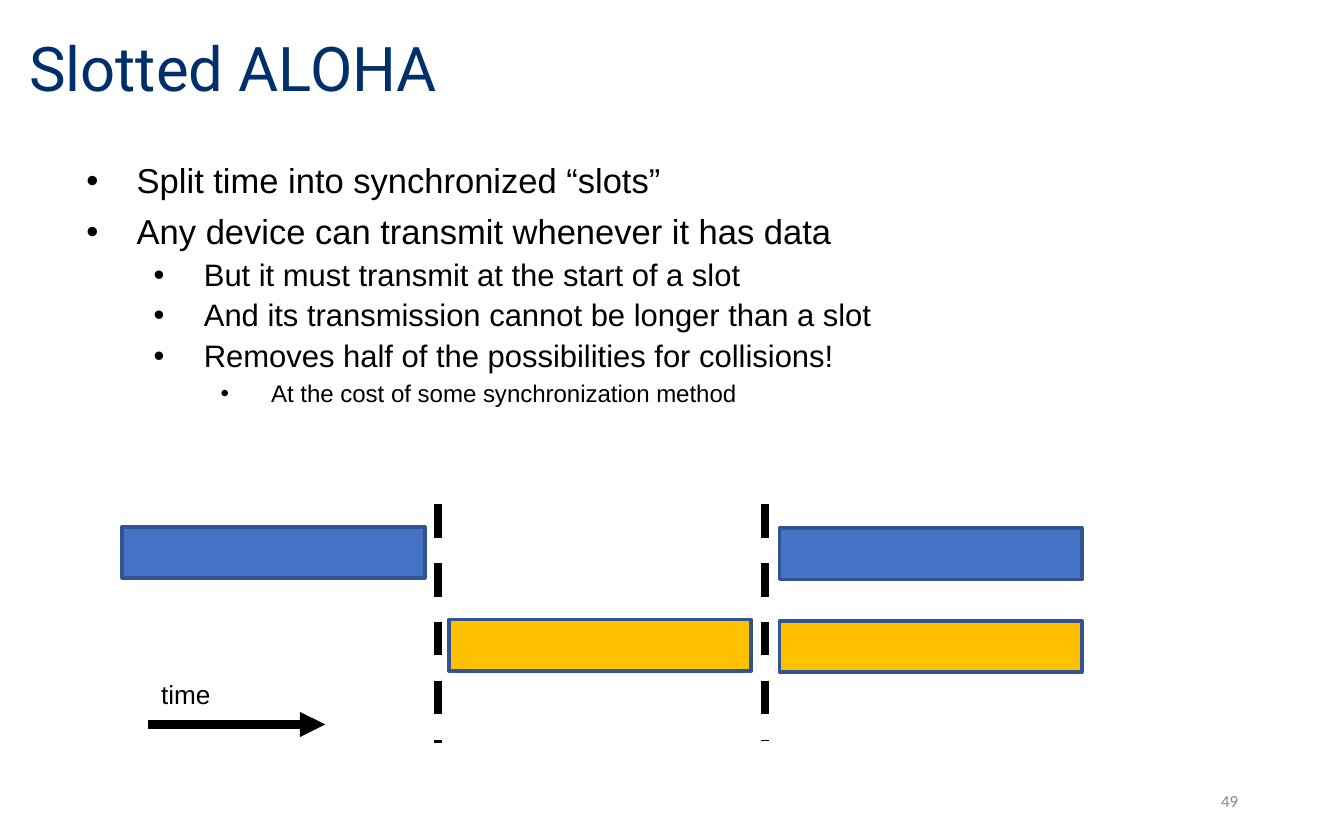
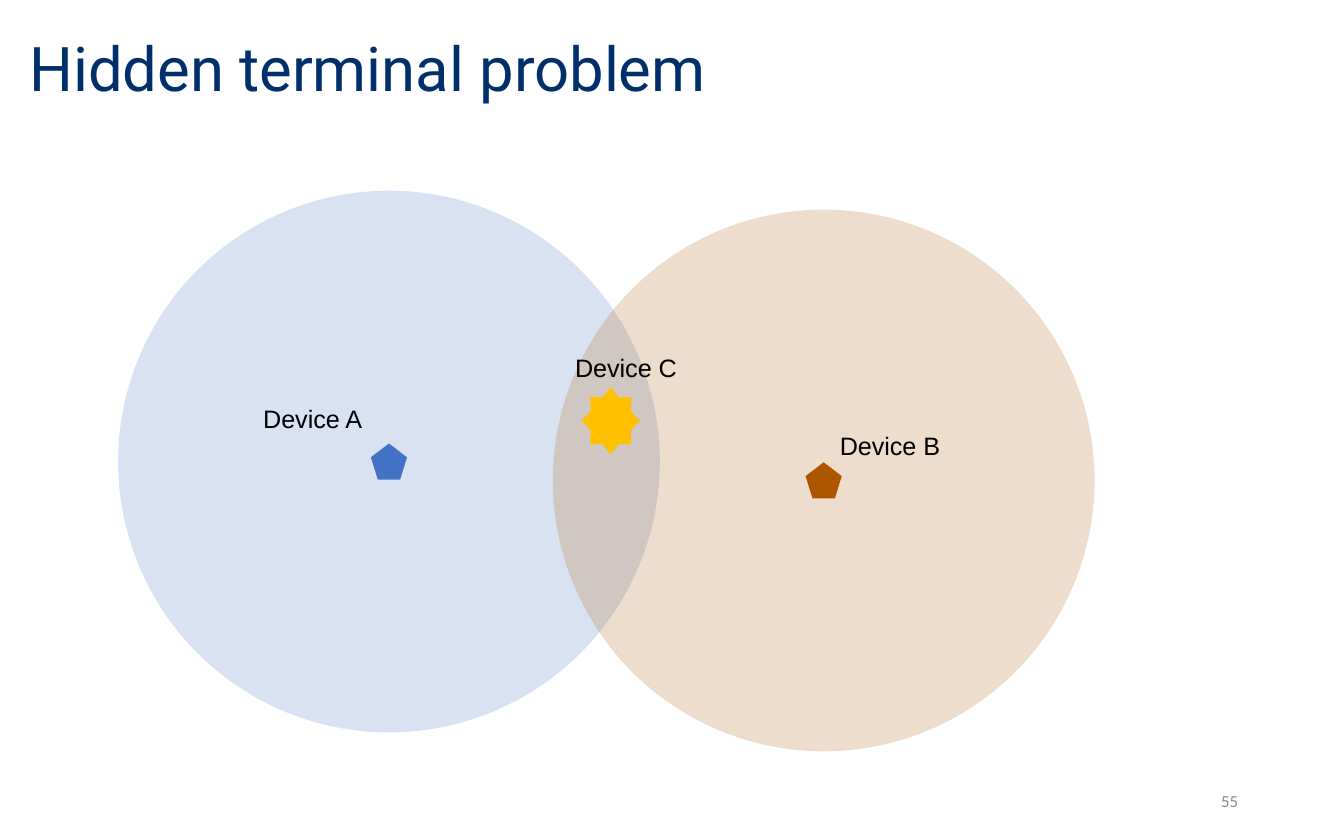
from dataclasses import dataclass

from lxml.etree import SubElement
from pptx import Presentation
from pptx.dml.color import RGBColor
from pptx.enum.dml import MSO_LINE
from pptx.enum.shapes import MSO_CONNECTOR, MSO_SHAPE as SHAPE
from pptx.enum.text import MSO_ANCHOR as ANCHOR, PP_ALIGN as ALIGN
from pptx.oxml.ns import qn
from pptx.util import Pt

# Content: slotted ALOHA
ALOHA = {"title": "Slotted ALOHA", "number": "49"}
POINTS = [
    (0, "Split time into synchronized “slots”"),
    (0, "Any device can transmit whenever it has data"),
    (1, "But it must transmit at the start of a slot"),
    (1, "And its transmission cannot be longer than a slot"),
    (1, "Removes half of the possibilities for collisions!"),
    (2, "At the cost of some synchronization method"),
]
TRANSMISSIONS = [  # sender, left, top
    ("blue", 65.5, 282.2),
    ("yellow", 240.5, 331.9),
    ("yellow", 417.6, 332.6),
    ("blue", 417.6, 283),
]
SLOT_EDGES = [(234.7, 398.2), (409.7, 396.7)]  # x, bottom
TIME_LABEL = "time"

# Content: hidden terminal problem
HIDDEN = {"title": "Hidden terminal problem", "number": "55"}
SENDERS = [("blue", 208.4, 247.3), ("brown", 441.3, 257.4)]  # colour, centre
RECEIVER = ("yellow", 327.2, 225.4)
DEVICE_LABELS = [
    ("Device A", 133.9, 212.4),
    ("Device B", 442.8, 226.8),
    ("Device C", 301, 185),
]


@dataclass(frozen=True)
class Theme:
    navy: str = "002F6C"
    black: str = "000000"
    grey: str = "888888"
    blue: str = "4472C4"
    yellow: str = "FFC000"
    brown: str = "AC5600"
    outline: str = "325491"
    heading: str = "Roboto"
    body: str = "Arial"
    footer: str = "Calibri"
    title_size: float = 33
    level_sizes: tuple = (18.5, 16.6, 12.9)
    level_gaps: tuple = (7.5, 3.8, 3.8)
    time_size: float = 14
    label_size: float = 13.5
    number_size: float = 9
    frame_line: float = 2
    heavy_line: float = 4.5


THEME = Theme()


def rgb(colour):
    return RGBColor.from_string(colour)


def add_bullet(paragraph, level):
    props = paragraph._p.get_or_add_pPr()
    props.set("marL", str(Pt(36 * (level + 1))))
    props.set("indent", str(-Pt(27)))
    SubElement(SubElement(props, qn("a:buClr")), qn("a:srgbClr"), val=THEME.black)
    SubElement(props, qn("a:buFont"), typeface=THEME.body)
    SubElement(props, qn("a:buChar"), char="•")


def add_text(slide, text, box, size=None, font=THEME.body, colour=THEME.black,
             align=ALIGN.LEFT, anchor=ANCHOR.TOP, spacing=None):
    """Takes a string, or a list of (level, string) for bullets."""
    frame = slide.shapes.add_textbox(*map(Pt, box)).text_frame
    frame.word_wrap = True
    frame.vertical_anchor = anchor
    bulleted = not isinstance(text, str)
    for i, (level, line) in enumerate(text if bulleted else [(0, text)]):
        paragraph = frame.add_paragraph() if i else frame.paragraphs[0]
        if bulleted:
            paragraph.level = level
            add_bullet(paragraph, level)
            paragraph.space_before = Pt(THEME.level_gaps[level] if i else 0)
        paragraph.alignment = align
        if spacing:
            paragraph.line_spacing = spacing
        run = paragraph.add_run()
        run.text = line
        run.font.name = font
        run.font.size = Pt(size or THEME.level_sizes[level])
        run.font.color.rgb = rgb(colour)


def add_figure(slide, kind, box, fill, outline=None, opacity=None):
    figure = slide.shapes.add_shape(kind, *map(Pt, box))
    figure.shadow.inherit = False
    figure.fill.solid()
    figure.fill.fore_color.rgb = rgb(fill)
    if opacity:
        colour = figure.element.spPr.find(qn("a:solidFill")).find(qn("a:srgbClr"))
        SubElement(colour, qn("a:alpha"), val=str(opacity * 1000))
    if outline:
        figure.line.color.rgb = rgb(outline)
        figure.line.width = Pt(THEME.frame_line)
    else:
        figure.line.fill.background()


def add_centred(slide, kind, x, y, width, height, fill, **look):
    add_figure(slide, kind, (x - width / 2, y - height / 2, width, height), fill, **look)


def add_line(slide, start, end, dashed=False, arrow=False):
    link = slide.shapes.add_connector(MSO_CONNECTOR.STRAIGHT, *map(Pt, start + end))
    link.line.color.rgb = rgb(THEME.black)
    link.line.width = Pt(THEME.heavy_line)
    if dashed:
        link.line.dash_style = MSO_LINE.DASH
    if arrow:
        SubElement(link.line._get_or_add_ln(), qn("a:tailEnd"), type="triangle")
    SubElement(link.element.spPr, qn("a:effectLst"))


def add_page(deck, title, number):
    slide = deck.slides.add_slide(deck.slide_layouts[6])
    add_text(slide, title, (8.6, 7.2, 613.4, 61.9), size=THEME.title_size,
             font=THEME.heading, colour=THEME.navy, anchor=ANCHOR.MIDDLE, spacing=0.9)
    add_text(slide, number, (508.3, 416.9, 162, 23.8), size=THEME.number_size,
             font=THEME.footer, colour=THEME.grey, align=ALIGN.RIGHT,
             anchor=ANCHOR.MIDDLE)
    return slide


def build_aloha(deck):
    slide = add_page(deck, **ALOHA)
    add_text(slide, POINTS, (30.2, 84.2, 648, 158.4), spacing=0.9)

    # Transmissions and slot boundaries
    for sender, left, top in TRANSMISSIONS:
        add_figure(slide, SHAPE.RECTANGLE, (left, top, 162, 27.4),
                   getattr(THEME, sender), outline=THEME.outline)
    for x, bottom in SLOT_EDGES:
        add_line(slide, (x, 270), (x, bottom), dashed=True)

    # Time axis
    add_line(slide, (79.2, 388.1), (174.2, 388.1), arrow=True)
    add_text(slide, TIME_LABEL, (79.2, 360, 77, 24.5), size=THEME.time_size)


def build_hidden_terminal(deck):
    slide = add_page(deck, **HIDDEN)

    # Senders, each under its radio range
    for name, x, y in SENDERS:
        colour = getattr(THEME, name)
        add_centred(slide, SHAPE.REGULAR_PENTAGON, x, y, 19.4, 19.4, colour)
        add_centred(slide, SHAPE.OVAL, x, y, 290.2, 290.2, colour, opacity=20)

    # Receiver in the overlap
    name, x, y = RECEIVER
    add_centred(slide, SHAPE.STAR_8_POINT, x, y, 31, 36, getattr(THEME, name))

    for label, left, top in DEVICE_LABELS:
        add_text(slide, label, (left, top, 75.6, 23.8), size=THEME.label_size)


def main():
    deck = Presentation()
    deck.slide_width, deck.slide_height = Pt(720), Pt(450)
    build_aloha(deck)
    build_hidden_terminal(deck)
    deck.save("out.pptx")


if __name__ == "__main__":
    main()
